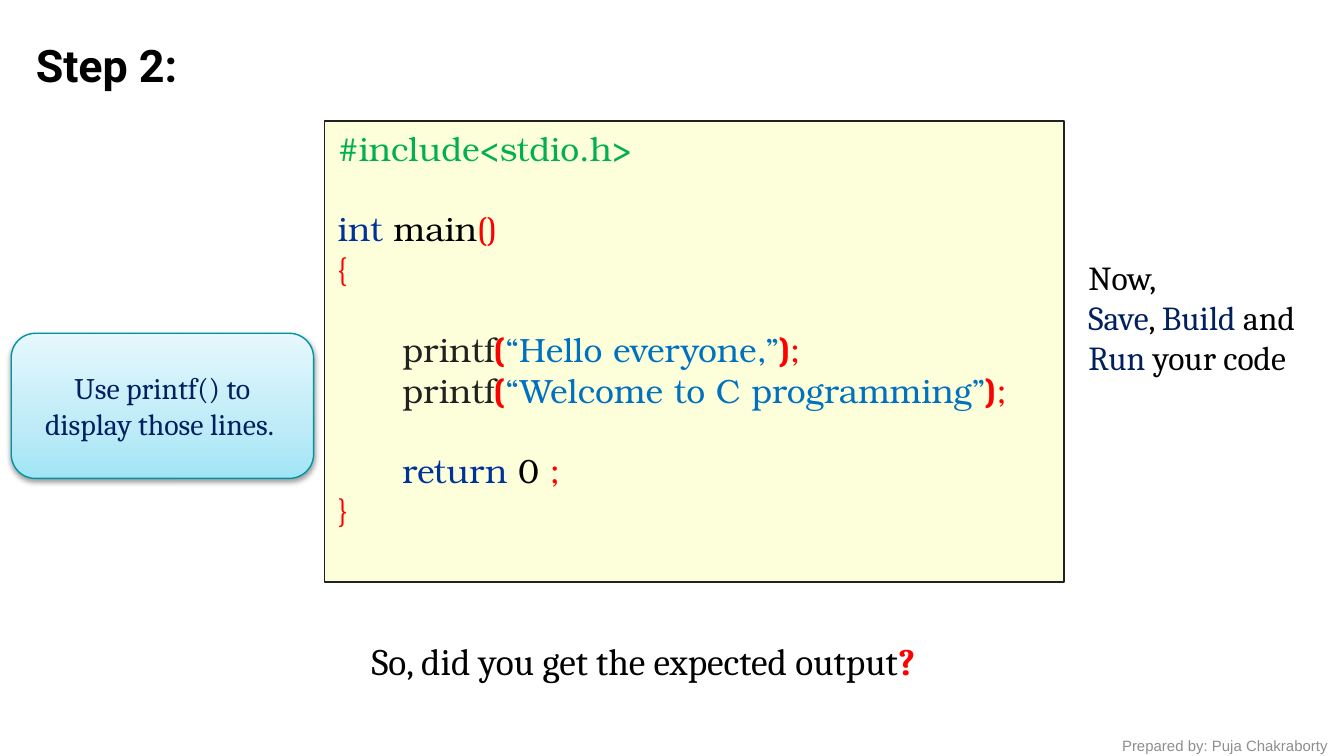
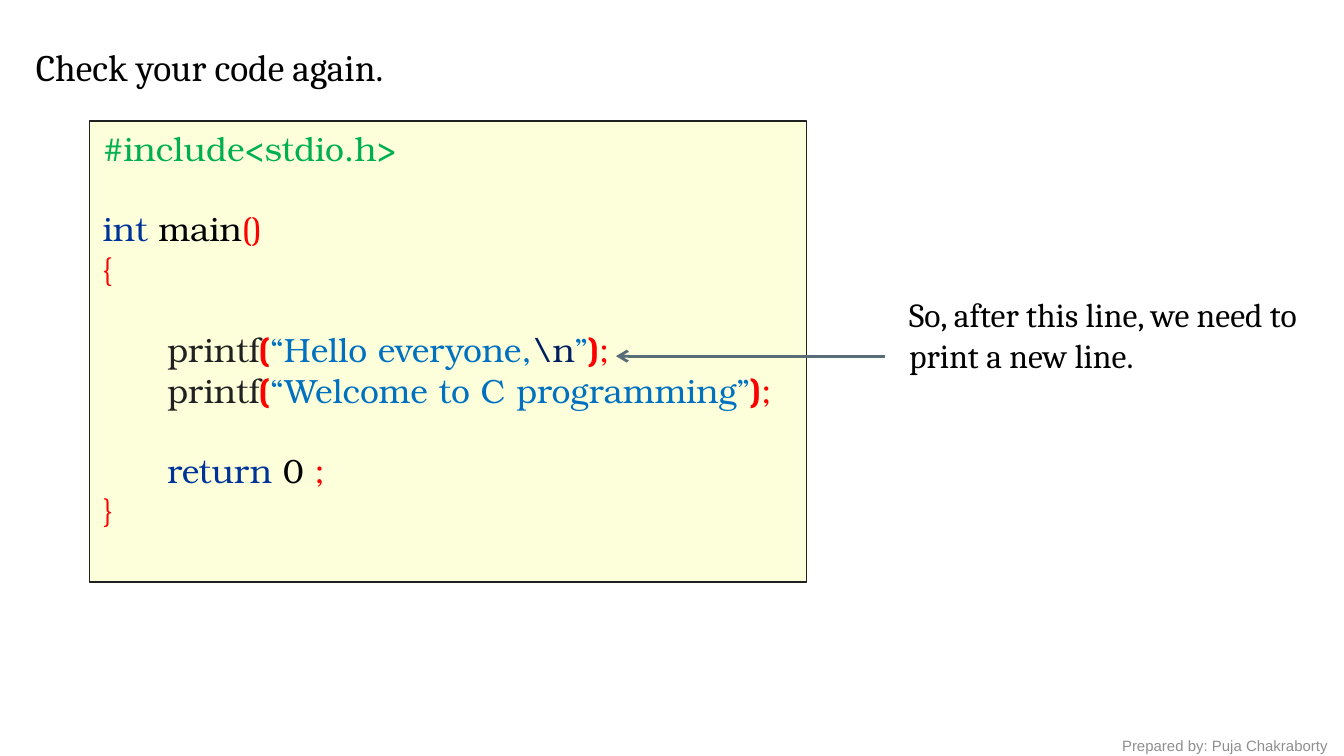
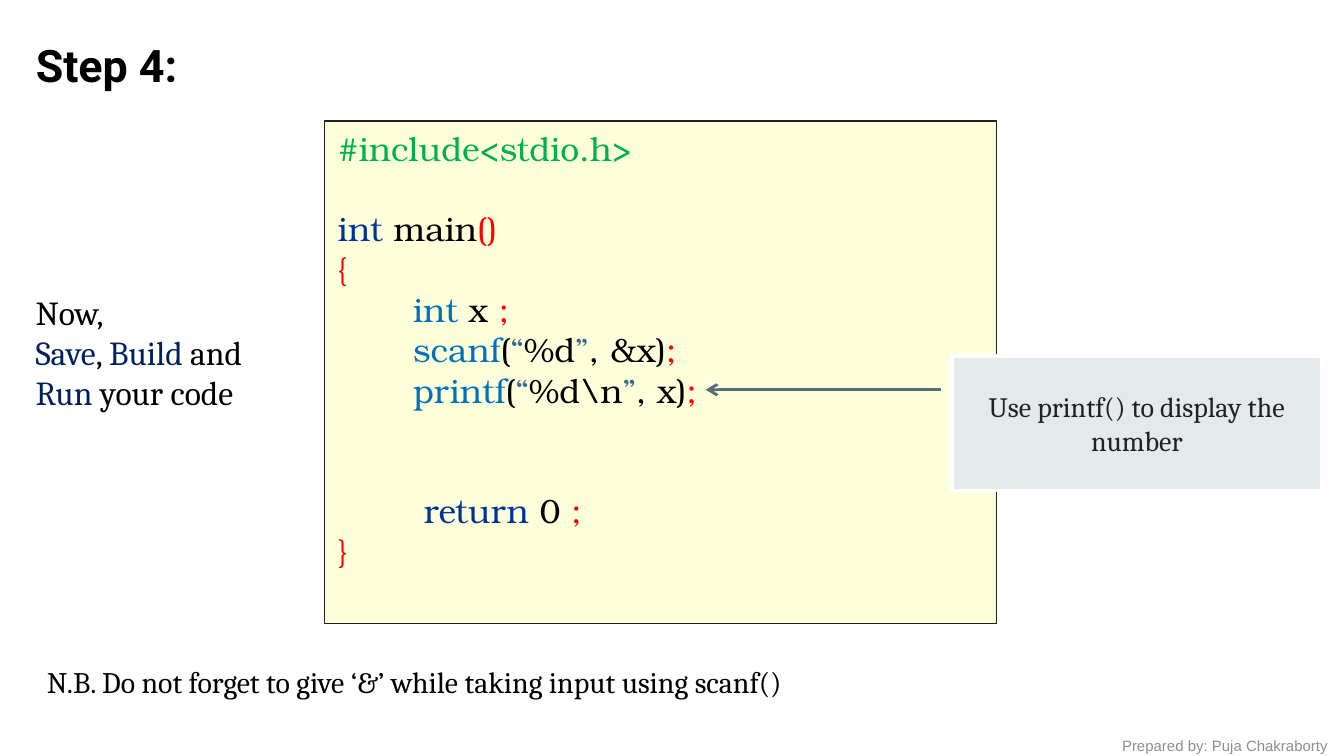
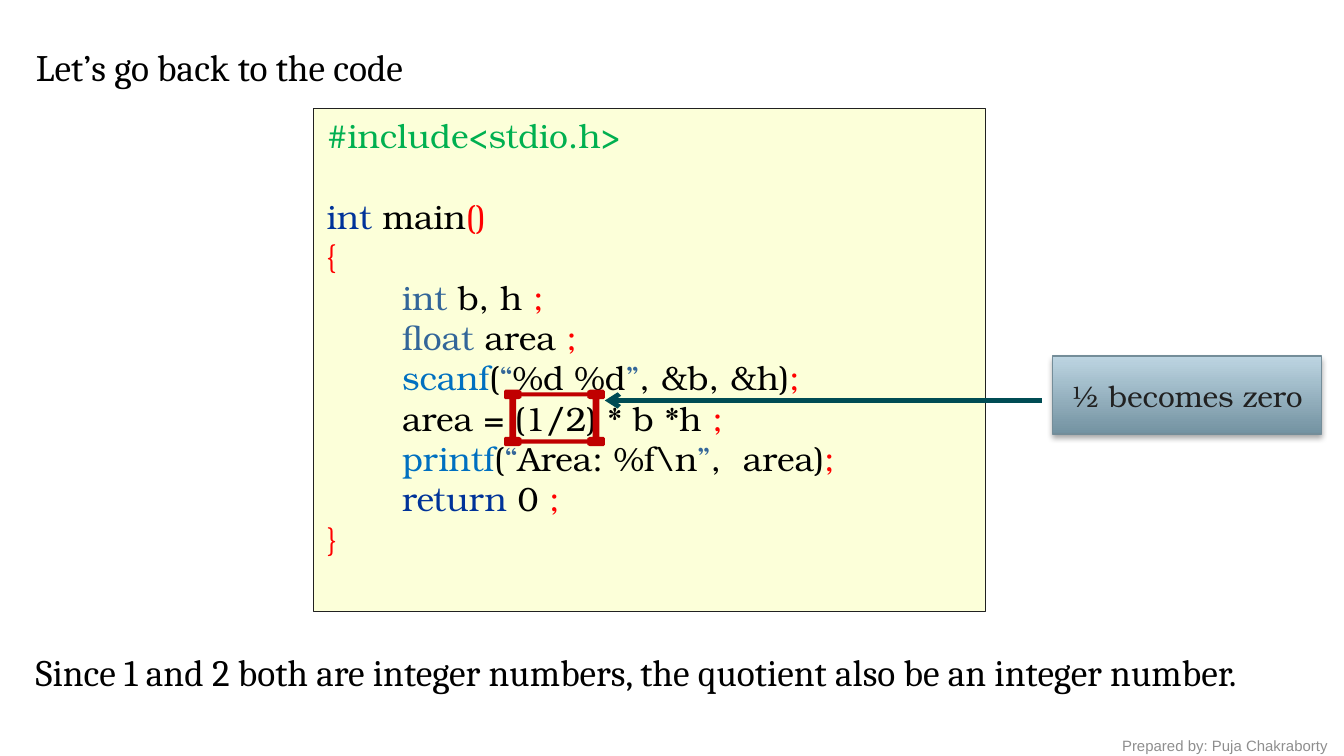
import pptx
import pptx.dml.color
import pptx.enum.shapes
import pptx.enum.text
import pptx.oxml
import pptx.oxml.ns
import pptx.util

Inches, Pt = pptx.util.Inches, pptx.util.Pt
ALIGN, ANCHOR = pptx.enum.text.PP_ALIGN, pptx.enum.text.MSO_ANCHOR
SHAPE = pptx.enum.shapes.MSO_SHAPE
qn = pptx.oxml.ns.qn

# ---- Shared look ----
WIDTH = 10
HEIGHT = WIDTH * 9 / 16
COL = WIDTH / 120          # boxes are (column, top in inches, columns, height in inches)
CODE_SIZE = 18
CODE_LINE = CODE_SIZE * 1.2
CODE_SPACE = 0.08          # width of one character of indent
SERIF, SLAB, SANS, HEADING = "Cambria", "TeX Gyre Bonum", "Arial", "Roboto"
COLORS = dict(
    black="000000", dark="212121", grey="8E8E8E", white="FFFFFF", cream="FCFFD9",
    green="00B050", keyword="003399", red="FF0000", blue="0070C0", navy="002060",
    steel="336699", slate="586D77", pale="E4E9EB", teal="0094A3", deep="004C54",
    rim="748D99", mark="C00000",
)

# ---- Code listings: lines of (indent, blank lines above, runs) ----
SEMI = (";", "red")
OPENING = [
    (0, 0, [("#include<stdio.h>", "green")]),
    (0, 1, [("int", "keyword"), (" main", "black"), ("()", "red")]),
    (0, 0, [("{", "red")]),
]


def closing(indent, gap):
    return [(indent, gap, [("return", "keyword"), (" 0 ", "black"), SEMI]),
            (0, 0, [("}", "red")])]


def print_line(gap, *words):
    return (6, gap, [("printf", "dark"), ("(", "red", True), *words,
                     (")", "red", True), SEMI])


def declare(kind, names, color):
    return (7, 0, [(kind, color), (f" {names} ", "black"), SEMI])


def call(name, pattern, rest):
    return (7, 0, [(name, "blue"), ("(", "black"), ("“", "steel"), (pattern, "black"),
                   ("”", "steel"), (rest, "black"), SEMI])


WELCOME = print_line(0, ("“Welcome to C programming”", "blue"))
HELLO_CODE = [*OPENING, print_line(1, ("“Hello everyone,”", "blue")),
              WELCOME, *closing(6, 1)]
NEWLINE_CODE = [
    *OPENING,
    print_line(1, ("“Hello everyone,", "blue"), ("\\n", "navy"), ("”", "blue")),
    WELCOME, *closing(6, 1)]
NUMBER_CODE = [
    *OPENING, declare("int", "x", "blue"), call("scanf", "%d", ", &x)"),
    call("printf", "%d\\n", ", x)"), *closing(8, 2)]
AREA_CODE = [
    *OPENING, declare("int", "b, h", "steel"), declare("float", "area", "steel"),
    call("scanf", "%d %d", ", &b, &h)"),
    (7, 0, [("area = (1/2) * b *h ", "black"), SEMI]),
    call("printf", "Area: %f\\n", ",  area)"), *closing(7, 0)]

RUN_IT = [
    [("Now,", "black")],
    [("Save", "navy"), (", ", "black"), ("Build", "navy"), (" and ", "black"),
     ("Run", "navy"), (" your code", "black")],
]


def plain(text):
    return [[(text, "black")]]


# ---- Callout styles ----
GLOSSY = dict(kind=SHAPE.ROUNDED_RECTANGLE, line=("teal", 0.75), shadow=(38, 3.1, 1.6),
              fill=[(0, "A0E5F5"), (35, "BEEBF7"), (100, "E5F8FD")],
              font=SERIF, size=16, color="navy")
FLAT = dict(kind=SHAPE.RECTANGLE, line=("white", 2), shadow=None, fill="pale",
            font=SERIF, size=15, color="dark")
STEEL = dict(kind=SHAPE.RECTANGLE, line=("rim", 0.75), shadow=(35, 3.1, 1.8),
             fill=[(0, "7392A1"), (100, "BDD5E2")], font=SLAB, size=16, color="dark")

# ---- Slides: notes are (box, size, paragraphs); arrows (from col, to col, y, color, width) ----
SLIDES = [
    dict(step="Step 2:", code=((29, 0.9, 66, 3.43), HELLO_CODE),
         callout=((1, 2.48, 27, 1.08), "Use printf() to display those lines. ", GLOSSY),
         notes=[((96, 1.89, 22, 1.25), 18, RUN_IT),
                ((32, 4.73, 66, 0.38), 20,
                 [[("So, did you get the expected output", "black"), ("?", "red", True)]])]),
    dict(lead="Check your code again.", code=((8, 0.9, 64, 3.43), NEWLINE_CODE),
         arrow=(79, 55, 2.65, "slate", 1.5),
         notes=[((80, 2.17, 38, 0.65), 18,
                 plain("So, after this line, we need to print a new line."))]),
    dict(step="Step 4:", code=((29, 0.9, 60, 3.74), NUMBER_CODE),
         arrow=(84, 63, 2.9, "slate", 1.5),
         callout=((85, 2.65, 33, 1), "Use printf() to display the number", FLAT),
         notes=[((2, 2.15, 24, 0.95), 18, RUN_IT),
                ((3, 4.92, 92, 0.31), 16,
                 plain("N.B. Do not forget to give ‘&’ while taking input using scanf()"))]),
    dict(lead="Let’s go back to the code", code=((28, 0.81, 60, 3.74), AREA_CODE),
         frame=(45, 2.9, 9, 0.42), arrow=(93, 54, 2.98, "deep", 2.5),
         callout=((94, 2.65, 24, 0.58), "½ becomes zero", STEEL),
         notes=[((2, 4.81, 116, 0.71), 20,
                 plain("Since 1 and 2 both are integer numbers, "
                       "the quotient also be an integer number."))]),
]

# One corner of the marker frame, as offsets from that corner
OUTER_CORNER = [(0.04, 0.07), (0.01, 0.07), (0, 0.06), (0, 0.01),
                (0.01, 0), (0.11, 0), (0.13, 0.01), (0.13, 0.02)]
INNER_CORNER = [(0.09, 0.07), (0.11, 0.07), (0.13, 0.06), (0.13, 0.05)]


# ---- Helpers ----
def rgb(name):
    return pptx.dml.color.RGBColor.from_string(COLORS.get(name, name))


def place(box):
    col, top, cols, height = box
    return Inches(col * COL), Inches(top), Inches(cols * COL), Inches(height)


def write(tf, paragraphs, font, size, pad=0.05, align=ALIGN.LEFT, anchor=ANCHOR.TOP):
    frame = dict(word_wrap=True, auto_size=pptx.enum.text.MSO_AUTO_SIZE.NONE,
                 vertical_anchor=anchor, margin_left=Inches(0.1), margin_right=Inches(0.1),
                 margin_top=Inches(pad), margin_bottom=Inches(pad))
    for key, value in frame.items():
        setattr(tf, key, value)
    for i, runs in enumerate(paragraphs):
        p = tf.add_paragraph() if i else tf.paragraphs[0]
        p.alignment = align
        for text, color, *bold in runs:
            r = p.add_run()
            r.text = text
            for key, value in dict(name=font, size=Pt(size), bold=bool(bold)).items():
                setattr(r.font, key, value)
            r.font.color.rgb = rgb(color)


def paint(sp, fill, line=None):
    sp.shadow.inherit = False
    if isinstance(fill, list):
        sp.fill.gradient()
        sp.fill.gradient_angle = 90
        stops = next(sp._element.spPr.iter(qn("a:gsLst")))
        for stop in list(stops):
            stops.remove(stop)
        for share, color in fill:
            gs = stops.makeelement(qn("a:gs"), {"pos": str(share * 1000)})
            gs.append(gs.makeelement(qn("a:srgbClr"), {"val": color}))
            stops.append(gs)
    else:
        sp.fill.solid()
        sp.fill.fore_color.rgb = rgb(fill)
    if line:
        sp.line.color.rgb, sp.line.width = rgb(line[0]), Pt(line[1])
    else:
        sp.line.fill.background()


def cast_shadow(sp, alpha, blur, distance):
    effects = sp._element.spPr.find(qn("a:effectLst"))
    effects.append(pptx.oxml.parse_xml(
        f'<a:outerShdw {pptx.oxml.ns.nsdecls("a")} blurRad="{Pt(blur)}" '
        f'dist="{Pt(distance)}" dir="5400000" rotWithShape="0"><a:srgbClr val="000000">'
        f'<a:alpha val="{alpha * 1000}"/></a:srgbClr></a:outerShdw>'))


# ---- Parts ----
def add_title(s, step=None, lead=None):
    box, font, size, pad = (((2, 0.23, 20, 0.5), HEADING, 24, 0.05) if step
                            else ((2, 0.31, 66, 0.38), SERIF, 20, 0.02))
    sp = s.shapes.title
    sp.left, sp.top, sp.width, sp.height = place(box)
    run = (step, "black", True) if step else (lead, "black")
    write(sp.text_frame, [[run]], font, size, pad)


def add_note(s, box, size, paragraphs, font=SERIF, pad=0.02):
    write(s.shapes.add_textbox(*place(box)).text_frame, paragraphs, font, size, pad)


def add_code(s, box, lines):
    sp = s.shapes.add_shape(SHAPE.RECTANGLE, *place(box))
    paint(sp, "cream", ("dark", 0.75))
    write(sp.text_frame, [runs for _, _, runs in lines], SLAB, CODE_SIZE)
    for p, (indent, gap, _) in zip(sp.text_frame.paragraphs, lines):
        p.space_before = Pt(gap * CODE_LINE)
        p._p.get_or_add_pPr().set("marL", str(Inches(indent * CODE_SPACE)))


def add_callout(s, box, text, style):
    sp = s.shapes.add_shape(style["kind"], *place(box))
    paint(sp, style["fill"], style["line"])
    if style["shadow"]:
        cast_shadow(sp, *style["shadow"])
    write(sp.text_frame, [[(text, style["color"])]], style["font"], style["size"],
          align=ALIGN.CENTER, anchor=ANCHOR.MIDDLE)


def add_arrow(s, start, end, y, color, width):
    line = s.shapes.add_connector(pptx.enum.shapes.MSO_CONNECTOR.STRAIGHT,
                                  Inches(start * COL), Inches(y), Inches(end * COL), Inches(y))
    line.line.color.rgb, line.line.width = rgb(color), Pt(width)
    ln = line.line._get_or_add_ln()
    ln.append(ln.makeelement(qn("a:tailEnd"), {"type": "arrow"}))
    spPr = line._element.spPr
    spPr.append(spPr.makeelement(qn("a:effectLst"), {}))


def add_frame(s, box):
    left, top, width, height = place(box)

    def mirror(corner):
        """Carry one corner clockwise round the four corners of the box."""
        for flip_x, flip_y in [(0, 0), (1, 0), (1, 1), (0, 1)]:
            for dx, dy in corner if flip_x == flip_y else corner[::-1]:
                x, y = Inches(dx), Inches(dy)
                yield (left + (width - x if flip_x else x),
                       top + (height - y if flip_y else y))

    outer, inner = list(mirror(OUTER_CORNER)), list(mirror(INNER_CORNER))
    builder = s.shapes.build_freeform(*outer[0])
    builder.add_line_segments(outer[1:], close=True)
    builder.move_to(*inner[0])
    builder.add_line_segments(inner[1:], close=True)
    paint(builder.convert_to_shape(), "mark")


def add_footer(s):
    add_note(s, (99, 5.43, 22, 0.24), 8, [[("Prepared by: Puja Chakraborty", "grey")]],
             SANS, 0.05)


def main():
    prs = pptx.Presentation()
    prs.slide_width, prs.slide_height = Inches(WIDTH), Inches(HEIGHT)
    for content in SLIDES:
        s = prs.slides.add_slide(prs.slide_layouts[5])
        add_title(s, content.get("step"), content.get("lead"))
        add_footer(s)
        add_code(s, *content["code"])
        if "frame" in content:
            add_frame(s, content["frame"])
        if "arrow" in content:
            add_arrow(s, *content["arrow"])
        if "callout" in content:
            add_callout(s, *content["callout"])
        for note in content["notes"]:
            add_note(s, *note)
    prs.save("out.pptx")


if __name__ == "__main__":
    main()
